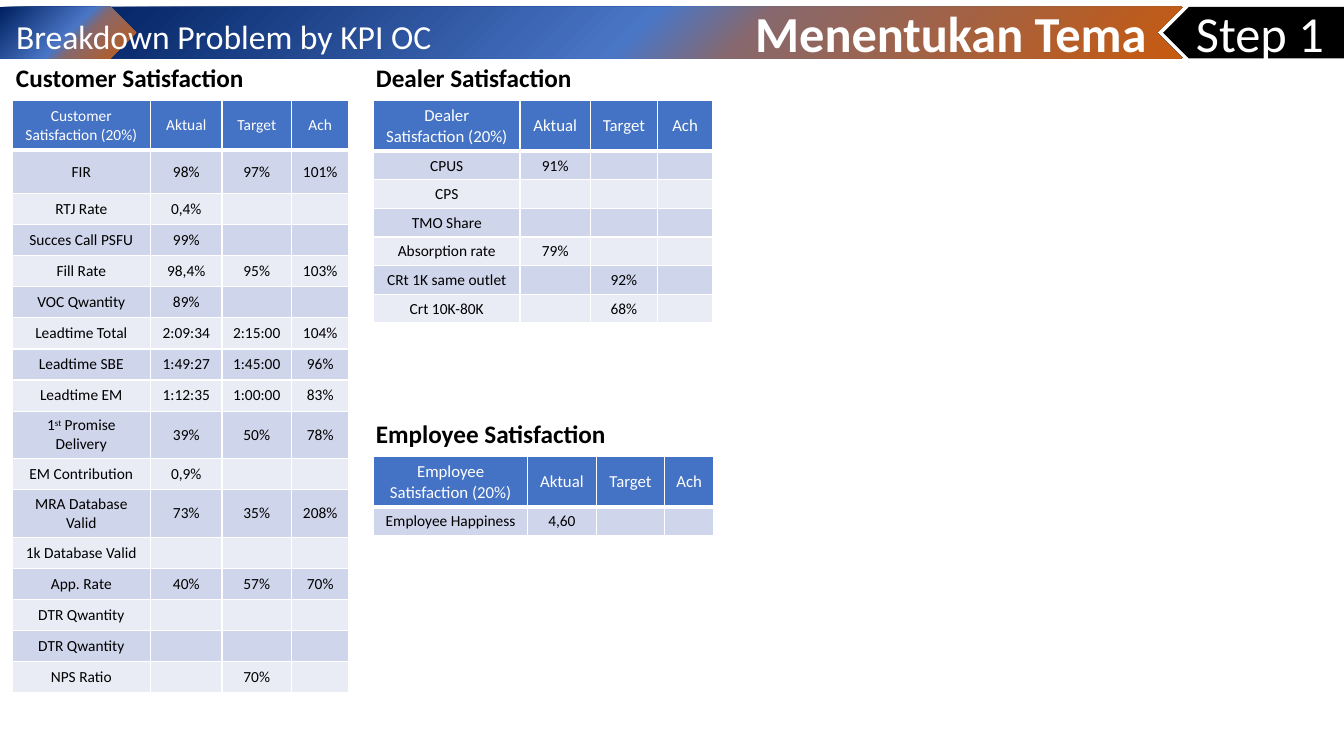
from dataclasses import dataclass

from lxml import etree
from pptx import Presentation
from pptx.dml.color import RGBColor
from pptx.enum.shapes import MSO_SHAPE
from pptx.enum.text import MSO_ANCHOR, MSO_AUTO_SIZE, PP_ALIGN
from pptx.oxml import parse_xml
from pptx.oxml.ns import nsdecls, qn
from pptx.util import Pt

CHEVRON, PLATE = MSO_SHAPE.CHEVRON, MSO_SHAPE.PENTAGON
LEFT, CENTER, RIGHT = PP_ALIGN.LEFT, PP_ALIGN.CENTER, PP_ALIGN.RIGHT
TOP, MIDDLE = MSO_ANCHOR.TOP, MSO_ANCHOR.MIDDLE
GROW = MSO_AUTO_SIZE.SHAPE_TO_FIT_TEXT
FONT, WHITE, BLACK, BLUE = "Calibri", "FFFFFF", "000000", "4472C4"
BANDS = ("CFD5EA", "E9EBF5")
STOPS = ((1, "C55A11"), (39, "88686C"), (49, "4A76C6"), (100, "002060"))
BAR_TOP, BAR_HIGH = 5, 36.7
HEADS = ("Aktual", "Target", "Ach")


@dataclass
class Bar:
    kind: int
    left: float
    width: float
    flip: bool = False
    fill: str = ""
    text: str = ""
    align: int = CENTER


@dataclass
class Panel:
    name: str
    left: float
    top: float
    grid: float
    cols: tuple
    size: float
    head: float
    high: float
    rows: tuple
    tall: dict


BARS = (
    Bar(CHEVRON, 46.8, 797.8, True, text="Menentukan Tema", align=RIGHT),
    Bar(PLATE, 0, 97.2),
)
STEP = Bar(PLATE, 830.9, 129.1, True, BLACK, "Step 1")

PANELS = (
    Panel("Customer Satisfaction", 4.3, 41, 8.6, (99, 51, 49.7, 41), 11, 35.3, 22.2, (
        ("FIR", "98%", "97%", "101%"),
        ("RTJ Rate", "0,4%", "", ""),
        ("Succes Call PSFU", "99%", "", ""),
        ("Fill Rate", "98,4%", "95%", "103%"),
        ("VOC Qwantity", "89%", "", ""),
        ("Leadtime Total", "2:09:34", "2:15:00", "104%"),
        ("Leadtime SBE", "1:49:27", "1:45:00", "96%"),
        ("Leadtime EM", "1:12:35", "1:00:00", "83%"),
        ("1^st^ Promise Delivery", "39%", "50%", "78%"),
        ("EM Contribution", "0,9%", "", ""),
        ("MRA Database Valid", "73%", "35%", "208%"),
        ("1k Database Valid", "", "", ""),
        ("App. Rate", "40%", "57%", "70%"),
        ("DTR Qwantity", "", "", ""),
        ("DTR Qwantity", "", "", ""),
        ("NPS Ratio", "", "70%", ""),
    ), {1: 31, 9: 34, 11: 34}),
    Panel("Dealer Satisfaction", 261.4, 41, 266.9, (104.5, 50.5, 47.5, 40), 12, 36, 20.4, (
        ("CPUS", "91%", "", ""),
        ("CPS", "", "", ""),
        ("TMO Share", "", "", ""),
        ("Absorption rate", "79%", "", ""),
        ("CRt 1K same outlet", "", "92%", ""),
        ("Crt 10K-80K", "", "68%", ""),
    ), {}),
    Panel("Employee Satisfaction", 261.4, 295.2, 266.9, (110, 49, 49, 35), 12, 35.7, 20.4, (
        ("Employee Happiness", "4,60", "", ""),
    ), {}),
)


def tint(code: str) -> RGBColor:
    return RGBColor.from_string(code)


def write(frame, text: str, *, size: float, color: str = BLACK, bold: bool = False,
          align: int = LEFT, anchor: int = TOP) -> None:
    frame.word_wrap = True
    frame.vertical_anchor = anchor
    line = frame.paragraphs[0]
    line.alignment = align
    if not text:
        end = etree.SubElement(line._p, qn("a:endParaRPr"))
        end.set("sz", str(int(size * 100)))
    for i, part in enumerate(text.split("^") if text else ()):
        run = line.add_run()
        run.text = part
        font = run.font
        font.name, font.size, font.bold = FONT, Pt(size), bold
        font.color.rgb = tint(color)
        if i % 2:
            run._r.get_or_add_rPr().set("baseline", "30000")


def blend(shape) -> None:
    stops = "".join(f'<a:gs pos="{at * 1000}"><a:srgbClr val="{code}"/></a:gs>'
                    for at, code in STOPS)
    fill = parse_xml(
        f'<a:gradFill {nsdecls("a")} rotWithShape="1"><a:gsLst>{stops}</a:gsLst>'
        '<a:path path="circle"><a:fillToRect l="100000" t="100000"/></a:path></a:gradFill>')
    shape.element.spPr.find(qn("a:prstGeom")).addnext(fill)


def draw_bar(shapes, bar: Bar) -> None:
    shape = shapes.add_shape(bar.kind, Pt(bar.left), Pt(BAR_TOP), Pt(bar.width), Pt(BAR_HIGH))
    shape.shadow.inherit = False
    shape.line.fill.background()
    if bar.fill:
        shape.fill.solid()
        shape.fill.fore_color.rgb = tint(bar.fill)
    else:
        blend(shape)
    if bar.flip:
        shape.element.spPr.find(qn("a:xfrm")).set("flipH", "1")
    if bar.text:
        write(shape.text_frame, bar.text, size=36, color=WHITE, bold=not bar.fill,
              align=bar.align, anchor=MIDDLE)


def edge(cell, base: float) -> None:
    props = cell._tc.get_or_add_tcPr()
    for side, width in (("L", 1), ("R", 1), ("T", 1), ("B", base)):
        props.append(parse_xml(
            f'<a:ln{side} {nsdecls("a")} w="{Pt(width)}"><a:solidFill>'
            f'<a:srgbClr val="{WHITE}"/></a:solidFill></a:ln{side}>'))


def draw_grid(shapes, panel: Panel) -> None:
    rows = ((f"{panel.name} (20%)", *HEADS), *panel.rows)
    highs = [panel.head] + [panel.tall.get(i, panel.high) for i in range(1, len(rows))]
    table = shapes.add_table(len(rows), len(panel.cols), Pt(panel.grid), Pt(panel.top + 31),
                             Pt(sum(panel.cols)), Pt(sum(highs))).table
    for col, width in zip(table.columns, panel.cols):
        col.width = Pt(width)
    for i, (row, high) in enumerate(zip(rows, highs)):
        table.rows[i].height = Pt(high)
        for j, text in enumerate(row):
            cell = table.cell(i, j)
            edge(cell, 1 if i else 3)
            cell.fill.solid()
            cell.fill.fore_color.rgb = tint(BANDS[(i - 1) % 2] if i else BLUE)
            cell.vertical_anchor = MIDDLE
            write(cell.text_frame, text, size=11 if i else panel.size,
                  color=BLACK if i else WHITE, align=CENTER)
            cell.vertical_anchor = MIDDLE


def draw_name(shapes, panel: Panel) -> None:
    box = shapes.add_textbox(Pt(panel.left), Pt(panel.top), Pt(238.3), Pt(29))
    write(box.text_frame, panel.name, size=18, bold=True)
    box.text_frame.auto_size = GROW


deck = Presentation()
deck.slide_width, deck.slide_height = Pt(960), Pt(540)
slide = deck.slides.add_slide(deck.slide_layouts[5])
shapes = slide.shapes

band = shapes.add_group_shape()
for bar in BARS:
    draw_bar(band.shapes, bar)

title = shapes.title
title.left, title.top, title.width, title.height = Pt(4.3), Pt(8), Pt(323.3), Pt(36)
write(title.text_frame, "Breakdown Problem by KPI OC", size=24, color=WHITE)
title.text_frame.auto_size = GROW
band.element.addnext(title.element)

for panel in PANELS:
    draw_grid(shapes, panel)
draw_bar(shapes, STEP)
for panel in PANELS:
    draw_name(shapes, panel)

deck.save("out.pptx")
